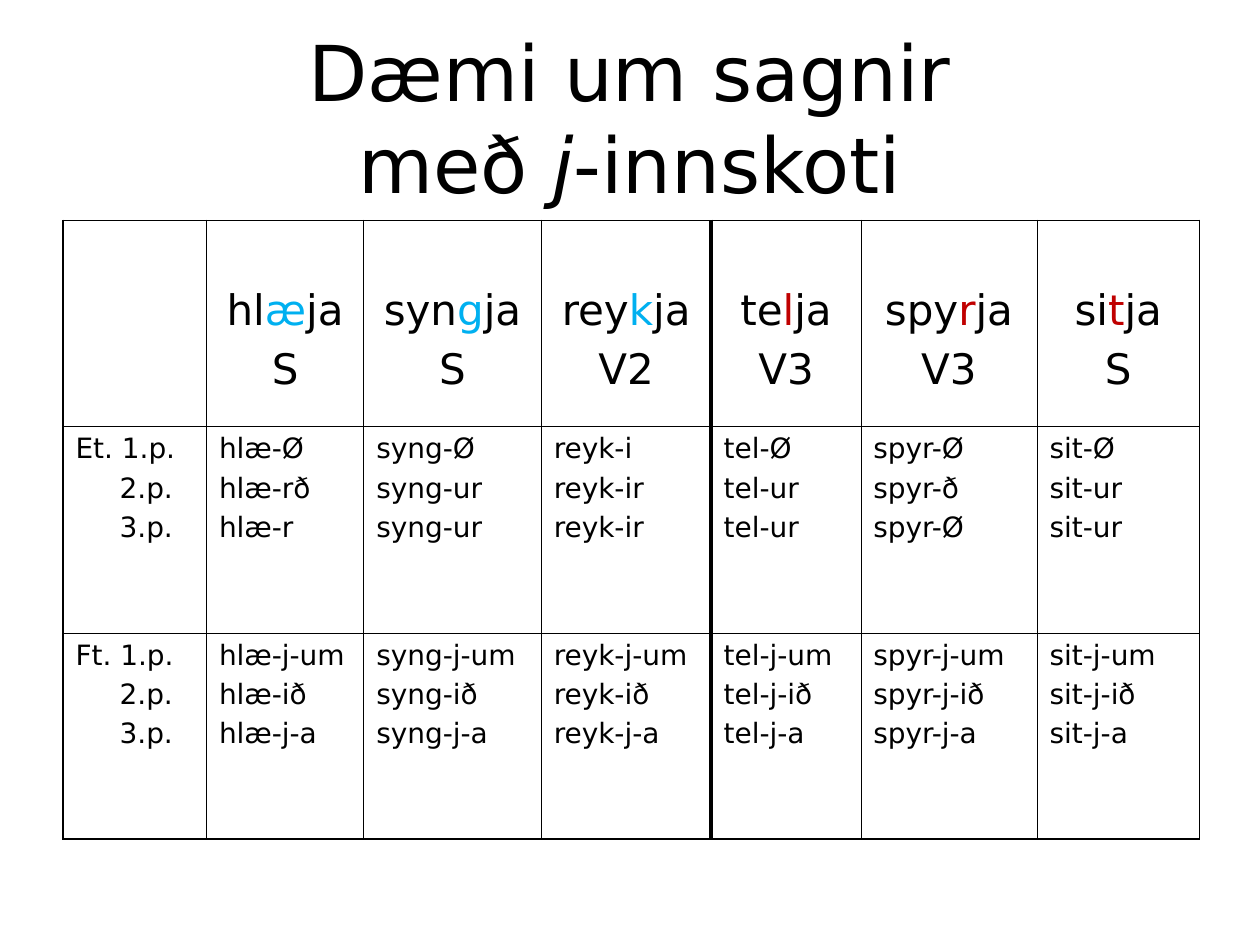
from lxml.etree import SubElement
from pptx import Presentation
from pptx.dml.color import RGBColor
from pptx.enum.text import MSO_ANCHOR, PP_ALIGN
from pptx.oxml.ns import qn
from pptx.util import Inches, Pt

SLIDE_W, SLIDE_H = 10, 7.5
FONT = "DejaVu Sans"
BLACK, BLUE, RED = "000000", "00B0F0", "C00000"
THIN, FRAME, DIVIDER = 0.45, 1.08, 2.21

COLUMN_WIDTHS = [1.14, 1.25, 1.41, 1.35, 1.19, 1.4, 1.29]
ROW_SHARE = 1 / 3
COLUMN_RULES = [FRAME, THIN, THIN, THIN, DIVIDER, THIN, THIN, FRAME]
ROW_RULES = [FRAME, THIN, THIN, FRAME]

VERBS = [
    ("hl", "æ", BLUE, "S"),
    ("syn", "g", BLUE, "S"),
    ("rey", "k", BLUE, "V2"),
    ("te", "l", RED, "V3"),
    ("spy", "r", RED, "V3"),
    ("si", "t", RED, "S"),
]
PERSONS = ["1.p.", "2.p.", "3.p."]
CONJUGATIONS = [
    ("Et.", ["hlæ-Ø hlæ-rð hlæ-r", "syng-Ø syng-ur syng-ur", "reyk-i reyk-ir reyk-ir",
             "tel-Ø tel-ur tel-ur", "spyr-Ø spyr-ð spyr-Ø", "sit-Ø sit-ur sit-ur"]),
    ("Ft.", ["hlæ-j-um hlæ-ið hlæ-j-a", "syng-j-um syng-ið syng-j-a",
             "reyk-j-um reyk-ið reyk-j-a", "tel-j-um tel-j-ið tel-j-a",
             "spyr-j-um spyr-j-ið spyr-j-a", "sit-j-um sit-j-ið sit-j-a"]),
]


def color(hex_code):
    return RGBColor.from_string(hex_code)


def set_font(paragraph, size):
    paragraph.font.name = FONT
    paragraph.font.size = Pt(size)
    paragraph.font.color.rgb = color(BLACK)


def add_run(paragraph, text):
    run = paragraph.add_run()
    run.text = text
    return run


def rule_cell(cell, left, right, top, bottom):
    properties = cell._tc.get_or_add_tcPr()
    for side, width in zip("LRTB", (left, right, top, bottom)):
        line = SubElement(properties, qn(f"a:ln{side}"), w=str(Pt(width)))
        fill = SubElement(line, qn("a:solidFill"))
        SubElement(fill, qn("a:srgbClr"), val=BLACK)
    cell.fill.background()


def write_verb(cell, stem, link, link_color, verb_class):
    cell.margin_top = Inches(0.52)
    infinitive = cell.text_frame.paragraphs[0]
    add_run(infinitive, stem)
    add_run(infinitive, link).font.color.rgb = color(link_color)
    add_run(infinitive, "ja")
    class_label = cell.text_frame.add_paragraph()
    class_label.text = verb_class
    class_label.space_before = Pt(6)
    for paragraph in (infinitive, class_label):
        paragraph.alignment = PP_ALIGN.CENTER
        set_font(paragraph, 24)


def write_forms(cell, forms, hanging=0):
    frame = cell.text_frame
    for index, form in enumerate(forms):
        paragraph = frame.add_paragraph() if index else frame.paragraphs[0]
        paragraph.text = form
        if index:
            paragraph.space_before = Pt(4)
            if hanging:
                paragraph._p.get_or_add_pPr().set("marL", str(Inches(hanging)))
        set_font(paragraph, 16)


def add_title(slide, left, top, width, height):
    box = slide.shapes.add_textbox(*map(Inches, (left, top, width, height)))
    frame = box.text_frame
    frame.word_wrap = True
    frame.vertical_anchor = MSO_ANCHOR.MIDDLE
    heading = frame.paragraphs[0]
    heading.alignment = PP_ALIGN.CENTER
    add_run(heading, "Dæmi um sagnir")
    heading.add_line_break()
    add_run(heading, "með ")
    add_run(heading, "j").font.italic = True
    add_run(heading, "-innskoti")
    set_font(heading, 44)


def add_conjugation_table(slide, left, top, width, height):
    table = slide.shapes.add_table(
        len(CONJUGATIONS) + 1, len(COLUMN_WIDTHS),
        *map(Inches, (left, top, width, height))).table
    table.first_row = False
    table.horz_banding = False
    for column, column_width in zip(table.columns, COLUMN_WIDTHS):
        column.width = Inches(width * column_width / sum(COLUMN_WIDTHS))
    for row in table.rows:
        row.height = Inches(height * ROW_SHARE)
    for r, (above, below) in enumerate(zip(ROW_RULES, ROW_RULES[1:])):
        for c, (before, after) in enumerate(zip(COLUMN_RULES, COLUMN_RULES[1:])):
            rule_cell(table.cell(r, c), before, after, above, below)
    for c, verb in enumerate(VERBS, 1):
        write_verb(table.cell(0, c), *verb)
    for r, (number, verb_forms) in enumerate(CONJUGATIONS, 1):
        labels = [f"{number} {PERSONS[0]}", *PERSONS[1:]]
        write_forms(table.cell(r, 0), labels, hanging=0.35)
        for c, forms in enumerate(verb_forms, 1):
            write_forms(table.cell(r, c), forms.split())


def main():
    presentation = Presentation()
    presentation.slide_width = Inches(SLIDE_W)
    presentation.slide_height = Inches(SLIDE_H)
    slide = presentation.slides.add_slide(presentation.slide_layouts[6])
    margin = SLIDE_W * 0.05
    add_title(slide, margin, SLIDE_H * 0.04, SLIDE_W * 0.9, 1.25)
    add_conjugation_table(slide, margin, 1.75, 9.02, 4.91)
    presentation.save("out.pptx")


if __name__ == "__main__":
    main()
